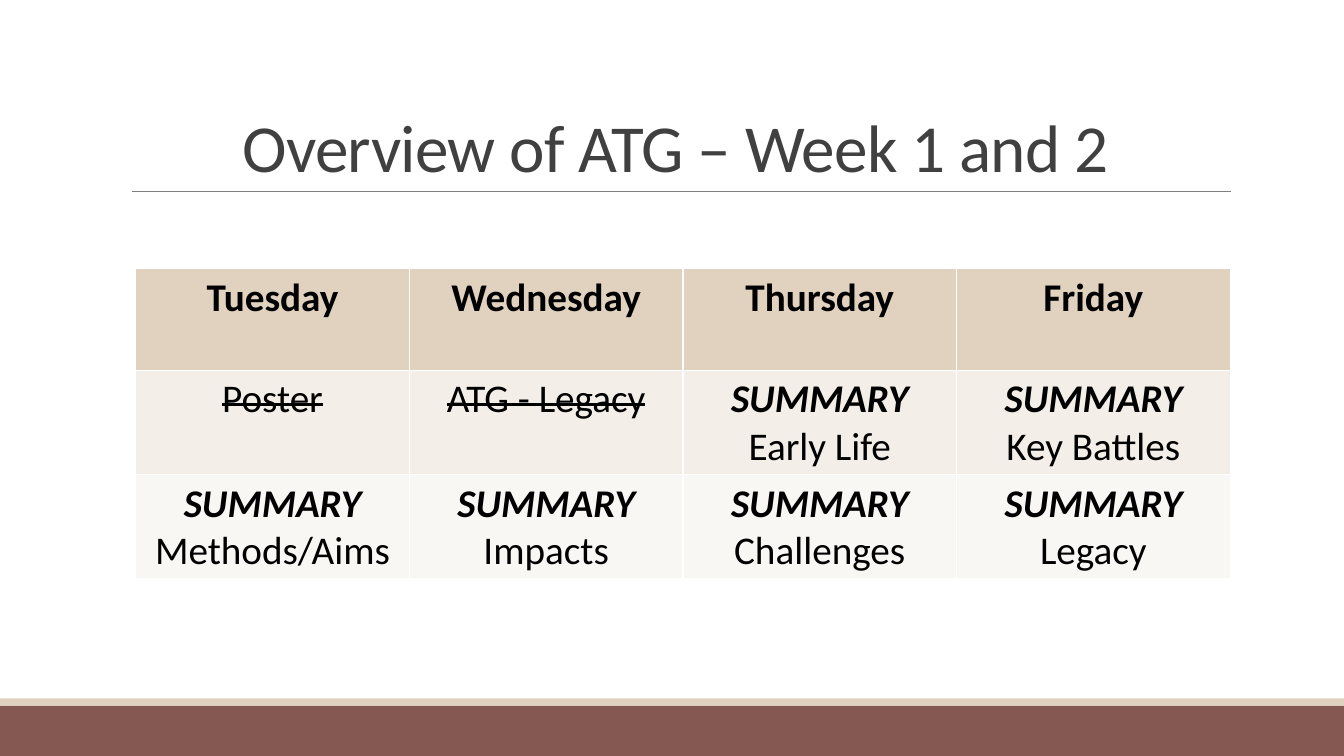
"""Build the weekly overview slide with its timetable."""
from pptx import Presentation
from pptx import util as u
from pptx.dml import color
from pptx.enum import shapes, text
from pptx.oxml import ns, xmlchemy


def rgb(code):
    return color.RGBColor.from_string(code)


def write(para, words, size=28, ink="000000", bold=False, italic=False,
          strike=False, track=0):
    para.alignment = text.PP_ALIGN.CENTER
    run = para.add_run()
    run.text = words
    font = run.font
    font.name, font.size = "Calibri", u.Pt(size)
    font.bold, font.italic = bold, italic
    font.color.rgb = rgb(ink)
    props = run._r.get_or_add_rPr()
    if strike:
        props.set("strike", "sngStrike")
    if track:
        props.set("spc", str(int(track * 100)))


class Page:
    """Hold the palette and the current slide."""

    brown, sand, rule, ink = "865852", "E1D2BF", "808080", "404040"
    bands = (sand, "F4EEE8", "F9F7F4")

    def __init__(self, slide):
        self.shapes = slide.shapes

    def bar(self, top, high, fill):
        box = self.shapes.add_shape(shapes.MSO_SHAPE.RECTANGLE, 0, u.Cm(top),
                                    u.Cm(33.87), u.Cm(high))
        box.shadow.inherit = False
        box.fill.solid()
        box.fill.fore_color.rgb = rgb(fill)
        box.line.fill.background()

    def line(self, left, right, top):
        link = self.shapes.add_connector(shapes.MSO_CONNECTOR.STRAIGHT, u.Cm(left),
                                         u.Cm(top), u.Cm(right), u.Cm(top))
        link.line.color.rgb = rgb(self.rule)
        link.line.width = u.Pt(0.5)
        link._element.spPr.append(xmlchemy.OxmlElement("a:effectLst"))

    def title(self, words, left, top, wide, high):
        box = self.shapes.add_textbox(u.Cm(left), u.Cm(top), u.Cm(wide), u.Cm(high))
        frame = box.text_frame
        frame.word_wrap = True
        frame.vertical_anchor = text.MSO_ANCHOR.BOTTOM
        para = frame.paragraphs[0]
        para.line_spacing = 0.85
        write(para, words, size=48, ink=self.ink, track=-0.5)

    def table(self, rows, left, top, wide, high):
        grid = self.shapes.add_table(len(rows), len(rows[0]), u.Cm(left), u.Cm(top),
                                     u.Cm(wide), u.Cm(high)).table
        for r, row in enumerate(rows):
            for c, lines in enumerate(row):
                cell = grid.cell(r, c)
                cell.fill.solid()
                cell.fill.fore_color.rgb = rgb(self.bands[r])
                frame = cell.text_frame
                for n, (words, form) in enumerate(lines):
                    para = frame.add_paragraph() if n else frame.paragraphs[0]
                    write(para, words, **form)


def head(day):
    return [(day, {"bold": True})]


def done(task):
    return [(task, {"strike": True})]


def recap(topic):
    return [("SUMMARY", {"bold": True, "italic": True}), (topic, {})]


def main():
    deck = Presentation()
    deck.slide_width, deck.slide_height = u.Cm(33.87), u.Cm(19.05)
    page = Page(deck.slides.add_slide(deck.slide_layouts[6]))
    page.bar(17.78, 1.27, page.brown)
    page.bar(17.6, 0.18, page.sand)
    page.line(3.33, 31.01, 4.82)
    page.title("Overview of ATG – Week 1 and 2", 3.05, 0.79, 27.94, 4.04)
    page.table([
        [head(d) for d in ("Tuesday", "Wednesday", "Thursday", "Friday")],
        [done("Poster"), done("ATG - Legacy"), recap("Early Life"),
         recap("Key Battles")],
        [recap(t) for t in ("Methods/Aims", "Impacts", "Challenges", "Legacy")],
    ], 3.42, 6.77, 27.58, 7.7)
    deck.save("out.pptx")


if __name__ == "__main__":
    main()
